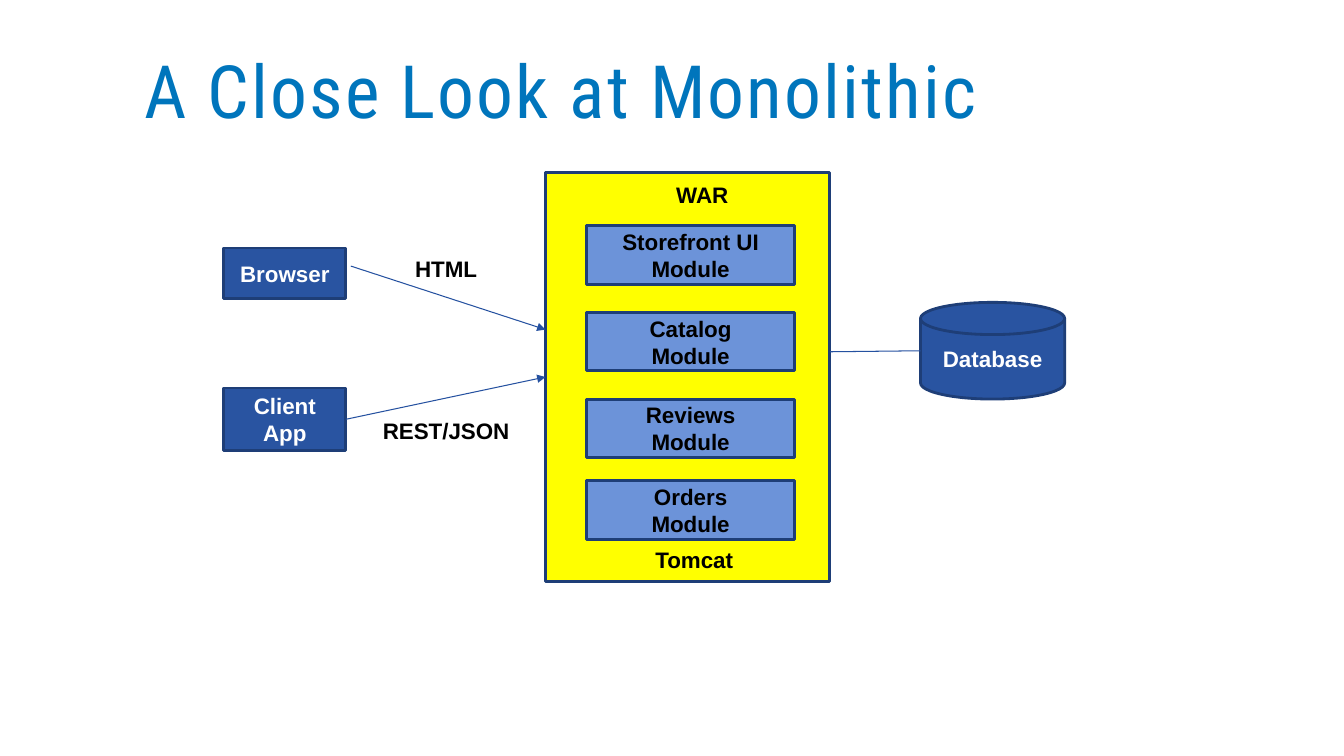
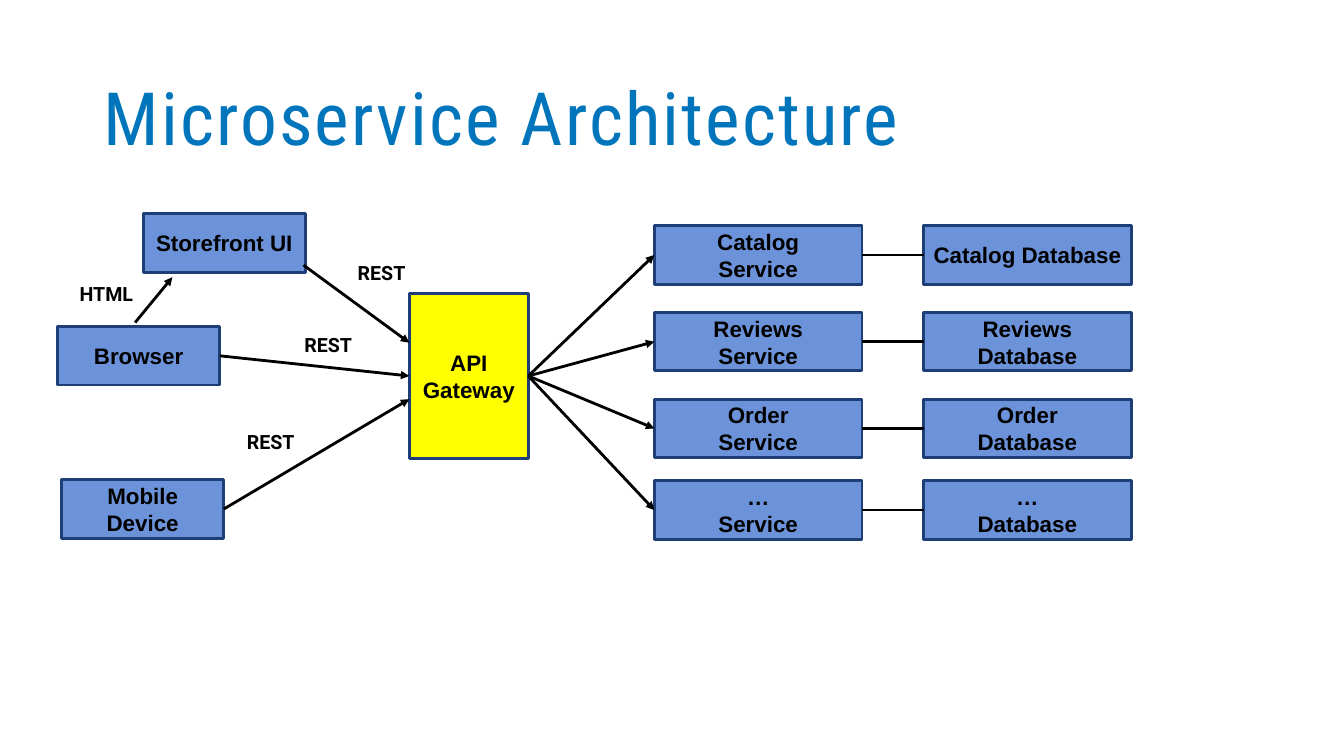
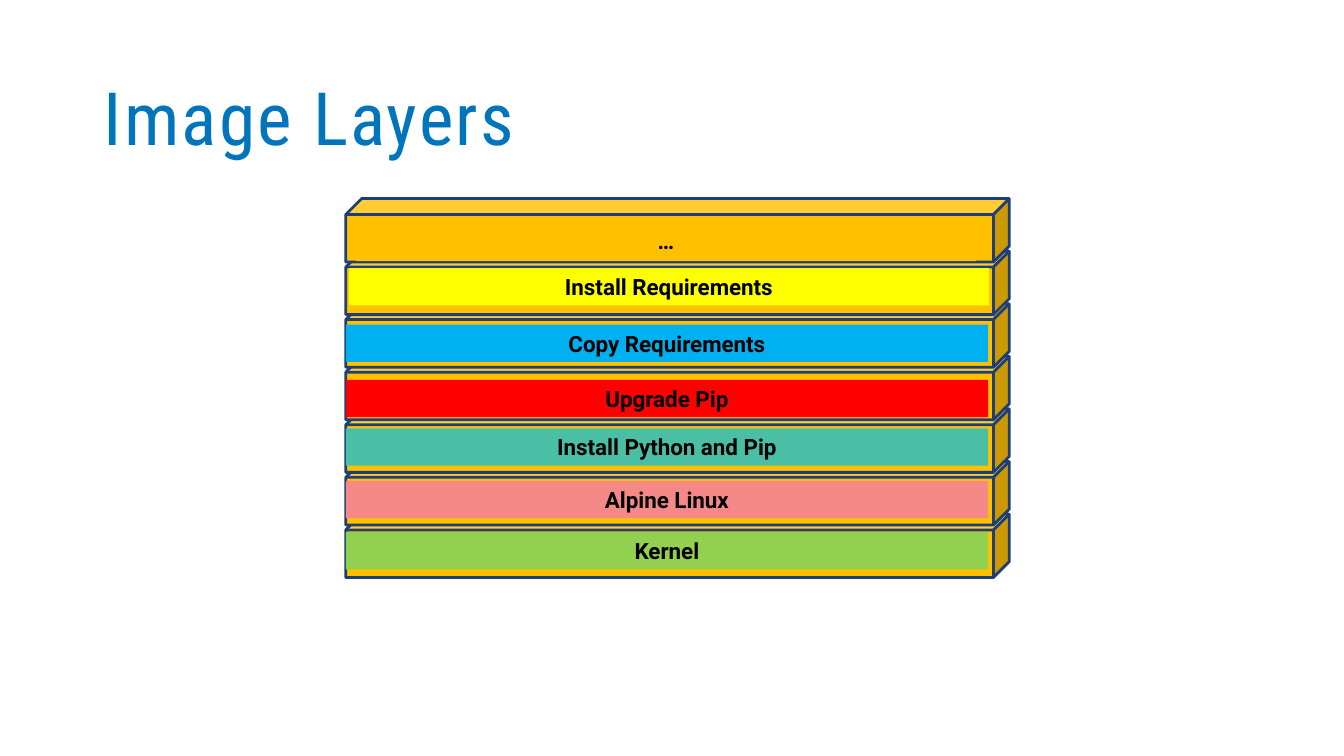
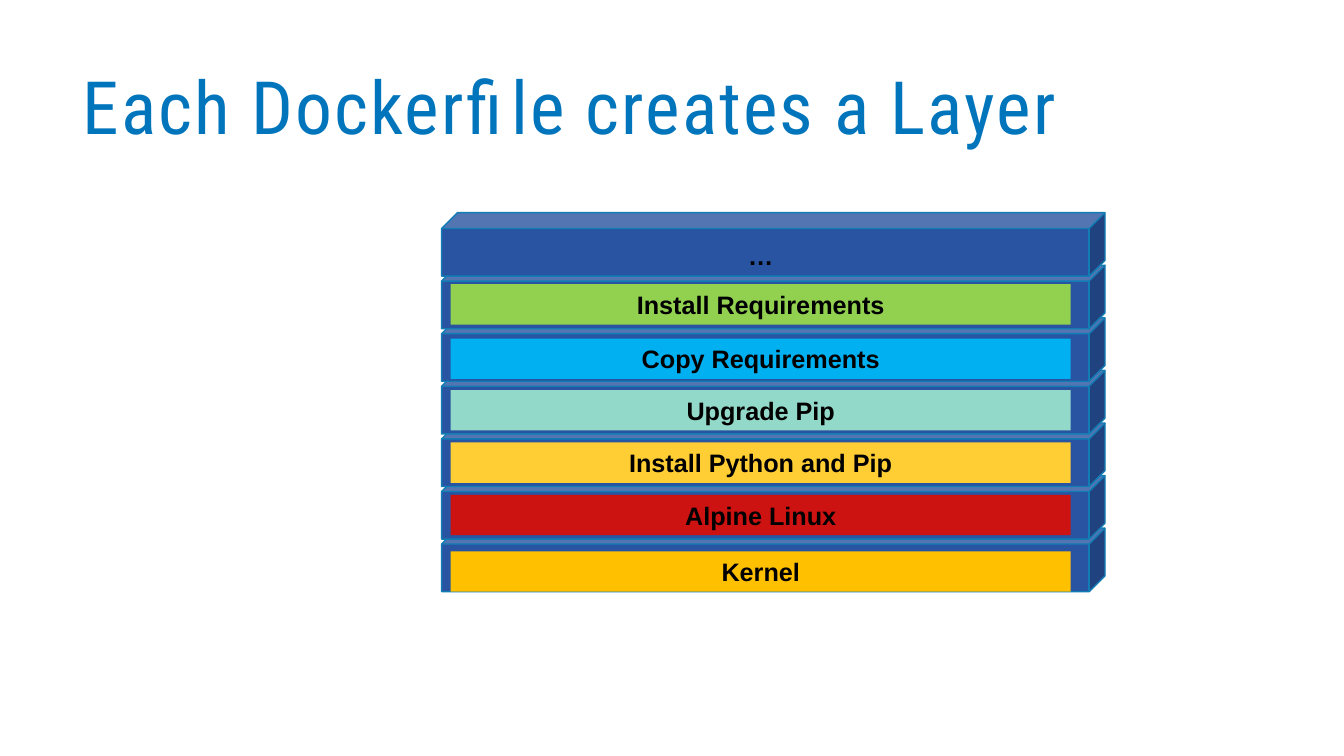
from pptx import Presentation
from pptx.dml.color import RGBColor
from pptx.enum.shapes import MSO_CONNECTOR, MSO_SHAPE
from pptx.enum.text import MSO_ANCHOR, MSO_AUTO_SIZE, PP_ALIGN
from pptx.oxml.ns import qn
from pptx.util import Inches, Pt
from lxml.etree import SubElement

BLACK = RGBColor(0x00, 0x00, 0x00)
WHITE = RGBColor(0xFF, 0xFF, 0xFF)
TITLE_BLUE = RGBColor(0x00, 0x75, 0xBC)
NAVY = RGBColor(0x1E, 0x3E, 0x77)
ROYAL = RGBColor(0x29, 0x54, 0xA1)
LINK_BLUE = RGBColor(0x25, 0x51, 0xA0)
EDGE_BLUE = RGBColor(0x12, 0x7C, 0xB4)
PERIWINKLE = RGBColor(0x6C, 0x93, 0xD9)
SKY = RGBColor(0x00, 0xB0, 0xF0)
YELLOW = RGBColor(0xFF, 0xFF, 0x00)
AMBER = RGBColor(0xFF, 0xC0, 0x00)
GOLD = RGBColor(0xFF, 0xCD, 0x34)
GREEN = RGBColor(0x92, 0xD0, 0x50)
TEAL = RGBColor(0x4B, 0xBF, 0xA6)
MINT = RGBColor(0x93, 0xD9, 0xCA)
SALMON = RGBColor(0xF5, 0x89, 0x88)
RED = RGBColor(0xFF, 0x00, 0x00)
CRIMSON = RGBColor(0xCD, 0x13, 0x11)

TOP, LEFT, BOTTOM, RIGHT = range(4)
ROW_TOPS = [2.24, 3.1, 3.96, 4.77]
ROW_SIZE = (2.06, 0.58)
CLIENT_SIZE = (1.61, 0.58)

MODULES = ["Storefront UI Module", "Catalog\nModule", "Reviews\nModule", "Orders\nModule"]
MONOLITH_NOTES = [
    ("WAR", (6.39, 1.75, 1.15, 0.37)),
    ("Tomcat", (6.14, 5.37, 1.49, 0.37)),
    ("HTML", (3.96, 2.48, 0.93, 0.37)),
    ("REST/JSON", (3.63, 4.09, 1.59, 0.37)),
]

SERVICES = [
    ("Catalog\nService", "Catalog Database"),
    ("Reviews\nService", "Reviews\nDatabase"),
    ("Order\nService", "Order\nDatabase"),
    ("…\nService", "…\nDatabase"),
]
PROTOCOLS = [
    ("REST", (2.38, 3.22, 1.75, 0.39)),
    ("REST", (1.81, 4.19, 1.75, 0.39)),
    ("HTML", (0.42, 2.72, 1.27, 0.39)),
    ("REST", (2.91, 2.51, 1.75, 0.39)),
]

CUBE_SIZE = (6.58, 0.63)
STACK_RISE = 3.13
IMAGE_LAYERS = [
    ("Kernel", GREEN, (3.43, 5.28, 6.37, 0.37)),
    ("Alpine Linux", SALMON, (3.43, 4.77, 6.37, 0.37)),
    ("Install Python and Pip", TEAL, (3.43, 4.25, 6.37, 0.37)),
    ("Upgrade Pip", RED, (3.43, 3.77, 6.37, 0.37)),
    ("Copy Requirements", SKY, (3.43, 3.22, 6.37, 0.37)),
    ("Install Requirements", YELLOW, (3.46, 2.66, 6.35, 0.37)),
    ("…", AMBER, (3.53, 2.19, 6.15, 0.4)),
]
DOCKERFILE_LAYERS = [
    (name, fill, (4.47, top, 6.15, 0.4))
    for name, fill, top in [
        ("Kernel", AMBER, 5.47),
        ("Alpine Linux", CRIMSON, 4.91),
        ("Install Python and Pip", GOLD, 4.39),
        ("Upgrade Pip", MINT, 3.87),
        ("Copy Requirements", SKY, 3.36),
        ("Install Requirements", GREEN, 2.82),
        ("…", None, 2.33),
    ]
]


def inches(values):
    return [Inches(value) for value in values]


def write(shape, text, color=BLACK, font="Arial", size=16):
    frame = shape.text_frame
    frame.text = text
    frame.word_wrap = True
    frame.vertical_anchor = MSO_ANCHOR.MIDDLE
    frame.margin_left = frame.margin_right = Inches(0.08)
    for paragraph in frame.paragraphs:
        paragraph.alignment = PP_ALIGN.CENTER
        for run in paragraph.runs:
            run.font.name = font
            run.font.size = Pt(size)
            run.font.bold = True
            run.font.color.rgb = color


def add_box(slide, at, text="", fill=PERIWINKLE, line=NAVY, width=2,
            preset=MSO_SHAPE.RECTANGLE, **style):
    box = slide.shapes.add_shape(preset, *inches(at))
    box.shadow.inherit = False
    if fill is None:
        box.fill.background()
    else:
        box.fill.solid()
        box.fill.fore_color.rgb = fill
    if line is None:
        box.line.fill.background()
    else:
        box.line.color.rgb = line
        box.line.width = Pt(width)
    if text:
        write(box, text, **style)
    return box


def add_notes(slide, notes, **style):
    for text, at in notes:
        write(slide.shapes.add_textbox(*inches(at)), text, **style)


def add_link(slide, start, end, color=BLACK, width=2, arrow=True):
    points = [(0, 0) if hasattr(p[0], "shape_id") else p for p in (start, end)]
    link = slide.shapes.add_connector(
        MSO_CONNECTOR.STRAIGHT, *inches(points[0]), *inches(points[1]))
    for joint, connect in ((start, link.begin_connect), (end, link.end_connect)):
        if hasattr(joint[0], "shape_id"):
            connect(*joint)
    link.line.color.rgb = color
    link.line.width = Pt(width)
    properties = link.line._get_or_add_ln()
    if arrow:
        SubElement(properties, qn("a:tailEnd"), type="triangle")
    SubElement(link._element.spPr, qn("a:effectLst"))


def add_titled_slide(deck, text, left, top):
    slide = deck.slides.add_slide(deck.slide_layouts[5])
    title = slide.shapes.title
    title.left, title.top, title.width, title.height = inches((left, top, 11.07, 1.02))
    frame = title.text_frame
    frame.text = text
    frame.word_wrap = True
    frame.auto_size = MSO_AUTO_SIZE.NONE
    frame.vertical_anchor = MSO_ANCHOR.MIDDLE
    frame.margin_left = frame.margin_right = Inches(0.08)
    frame.margin_top = frame.margin_bottom = Inches(0.08)
    paragraph = frame.paragraphs[0]
    paragraph.alignment = PP_ALIGN.LEFT
    paragraph.line_spacing = 0.9
    run = paragraph.runs[0]
    run.font.name = "Roboto Condensed"
    run.font.size = Pt(52.5)
    run.font.color.rgb = TITLE_BLUE
    run._r.get_or_add_rPr().set("spc", "160")
    return slide


def build_monolith(deck):
    slide = add_titled_slide(deck, "A Close Look at Monolithic", 1.35, 0.43)
    dark = dict(fill=ROYAL, color=WHITE)
    thin = dict(color=LINK_BLUE, width=0.75)
    add_box(slide, (2.22, 2.46, 1.21, 0.5), "Browser", **dark)
    client = add_box(slide, (2.22, 3.85, 1.21, 0.62), "Client App", **dark)
    server = add_box(slide, (5.41, 1.71, 2.82, 4.06), fill=YELLOW)
    for module, top in zip(MODULES, ROW_TOPS):
        add_box(slide, (5.82, top, *ROW_SIZE), module)
    add_notes(slide, MONOLITH_NOTES)
    add_box(slide, (9.13, 3, 1.43, 0.96), "Database",
            preset=MSO_SHAPE.FLOWCHART_MAGNETIC_DISK, **dark)
    add_link(slide, (3.48, 2.64), (5.41, 3.27), **thin)
    add_link(slide, (client, RIGHT), (5.41, 3.74), **thin)
    add_link(slide, (8.23, 3.49), (9.13, 3.48), arrow=False, **thin)


def build_microservices(deck):
    slide = add_titled_slide(deck, "Microservice Architecture", 0.95, 0.7)
    gateway = add_box(slide, (4.06, 2.91, 1.18, 1.64), "API Gateway", fill=YELLOW)
    add_box(slide, (1.42, 2.12, *CLIENT_SIZE), "Storefront UI")
    browser = add_box(slide, (0.57, 3.24, *CLIENT_SIZE), "Browser")
    mobile = add_box(slide, (0.61, 4.76, *CLIENT_SIZE), "Mobile Device")
    for (service_name, database_name), top in zip(SERVICES, ROW_TOPS):
        service = add_box(slide, (6.49, top, *ROW_SIZE), service_name)
        database = add_box(slide, (9.16, top, *ROW_SIZE), database_name)
        add_link(slide, (service, RIGHT), (database, LEFT), arrow=False)
        add_link(slide, (gateway, RIGHT), (service, LEFT))
    add_link(slide, (3.01, 2.63), (4.06, 3.4))
    add_link(slide, (browser, RIGHT), (gateway, LEFT))
    add_link(slide, (mobile, RIGHT), (4.06, 3.96))
    add_link(slide, (1.34, 3.2), (1.71, 2.75))
    add_notes(slide, PROTOCOLS, font="Roboto", size=14)


def build_stack(slide, left, top, layers, cube_style, label_style):
    pitch = STACK_RISE / (len(layers) - 1)
    for level in range(len(layers)):
        cube_top = top + STACK_RISE - level * pitch
        add_box(slide, (left, cube_top, *CUBE_SIZE), preset=MSO_SHAPE.CUBE, **cube_style)
    for name, fill, at in layers:
        add_box(slide, at, name, fill=fill, line=None, **label_style)


def main():
    deck = Presentation()
    deck.slide_width, deck.slide_height = Inches(13.33), Inches(7.5)
    build_monolith(deck)
    build_microservices(deck)
    build_stack(add_titled_slide(deck, "Image Layers", 0.95, 0.7),
                3.43, 1.97, IMAGE_LAYERS,
                dict(fill=AMBER), dict(font="Roboto"))
    build_stack(add_titled_slide(deck, "Each Dockerfile creates a Layer", 0.74, 0.59),
                4.38, 2.11, DOCKERFILE_LAYERS,
                dict(fill=ROYAL, line=EDGE_BLUE, width=1), dict(size=18))
    deck.save("out.pptx")


if __name__ == "__main__":
    main()
